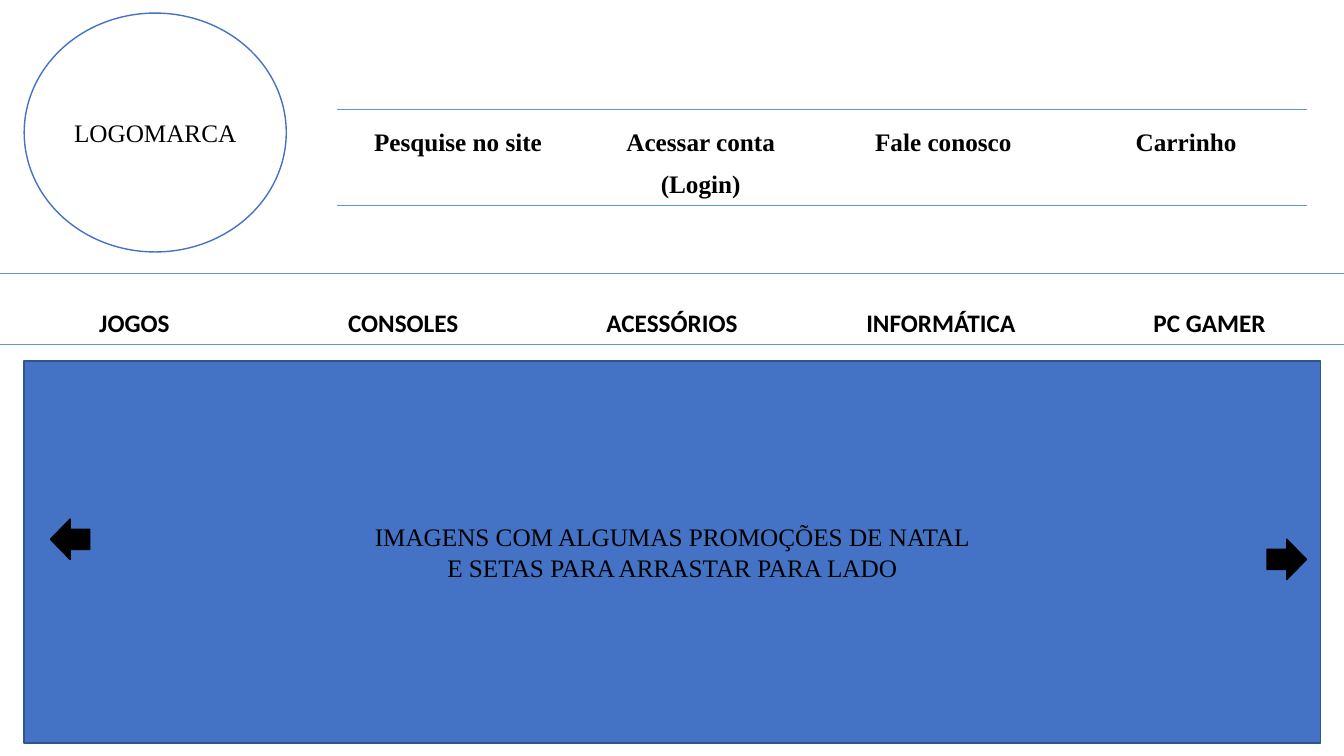
"""Build the home page wireframe of an online game shop."""
from lxml import etree
from pptx import Presentation
from pptx.dml.color import RGBColor
from pptx.enum.shapes import MSO_SHAPE
from pptx.enum.text import MSO_ANCHOR, PP_ALIGN
from pptx.oxml.ns import qn
from pptx.util import Inches, Pt

OVAL, RECTANGLE, ARROW = MSO_SHAPE.OVAL, MSO_SHAPE.RECTANGLE, MSO_SHAPE.RIGHT_ARROW
CENTER, MIDDLE = PP_ALIGN.CENTER, MSO_ANCHOR.MIDDLE
SERIF, SANS = "Times New Roman", "Calibri"
COLORS = {"white": "FFFFFF", "black": "000000", "blue": "4472C4",
          "navy": "325491", "rule": "5B9BD5"}


def write_lines(frame, lines, font, bold=False, spacing=1.0):
    for index, line in enumerate(lines):
        para = frame.paragraphs[0] if index == 0 else frame.add_paragraph()
        para.alignment = CENTER
        para.line_spacing = spacing
        span = para.add_run()
        span.text = line
        span.font.name = font
        span.font.size = Pt(18)
        span.font.bold = bold
        span.font.color.rgb = RGBColor.from_string(COLORS["black"])


def set_borders(cell):
    properties = cell._tc.get_or_add_tcPr()
    for index, side in enumerate(("lnL", "lnR", "lnT", "lnB")):
        border = etree.Element(qn(f"a:{side}"), w=str(Pt(1)))
        if side in ("lnT", "lnB"):
            fill = etree.SubElement(border, qn("a:solidFill"))
            etree.SubElement(fill, qn("a:srgbClr"), val=COLORS["rule"])
        else:
            etree.SubElement(border, qn("a:noFill"))
        properties.insert(index, border)


deck = Presentation()
deck.slide_width, deck.slide_height = Inches(13.333), Inches(7.5)
page = deck.slides.add_slide(deck.slide_layouts[6])

shapes = [
    (OVAL, (0.24, 0.13, 2.6, 2.37), "white", "blue", 0, ["LOGOMARCA"]),
    (RECTANGLE, (0.24, 3.58, 12.86, 3.79), "blue", "navy", 0,
     ["IMAGENS COM ALGUMAS PROMOÇÕES DE NATAL", "E SETAS PARA ARRASTAR PARA LADO"]),
    (ARROW, (12.57, 5.35, 0.39, 0.4), "black", "black", 0, []),
    (ARROW, (0.5, 5.15, 0.39, 0.4), "black", "black", 180, []),
]
for kind, place, fill, line, rotation, lines in shapes:
    box = page.shapes.add_shape(kind, *map(Inches, place))
    box.shadow.inherit = False
    box.rotation = rotation
    box.fill.solid()
    box.fill.fore_color.rgb = RGBColor.from_string(COLORS[fill])
    box.line.color.rgb = RGBColor.from_string(COLORS[line])
    box.line.width = Pt(1)
    box.text_frame.vertical_anchor = MIDDLE
    write_lines(box.text_frame, lines, SERIF)

menus = [
    ((3.34, 1.09, 9.63, 0.95), SERIF, 1.5,
     [["Pesquise no site"], ["Acessar conta", "(Login)"], ["Fale conosco"], ["Carrinho"]]),
    ((0, 2.71, 13.333, 0.7), SANS, 2.0,
     [["JOGOS"], ["CONSOLES"], ["ACESSÓRIOS"], ["INFORMÁTICA"], ["PC GAMER"]]),
]
for place, font, spacing, entries in menus:
    menu = page.shapes.add_table(1, len(entries), *map(Inches, place)).table
    menu.first_row = menu.horz_banding = False
    for cell, lines in zip(menu.rows[0].cells, entries):
        cell.fill.background()
        set_borders(cell)
        write_lines(cell.text_frame, lines, font, True, spacing)

deck.save("out.pptx")
